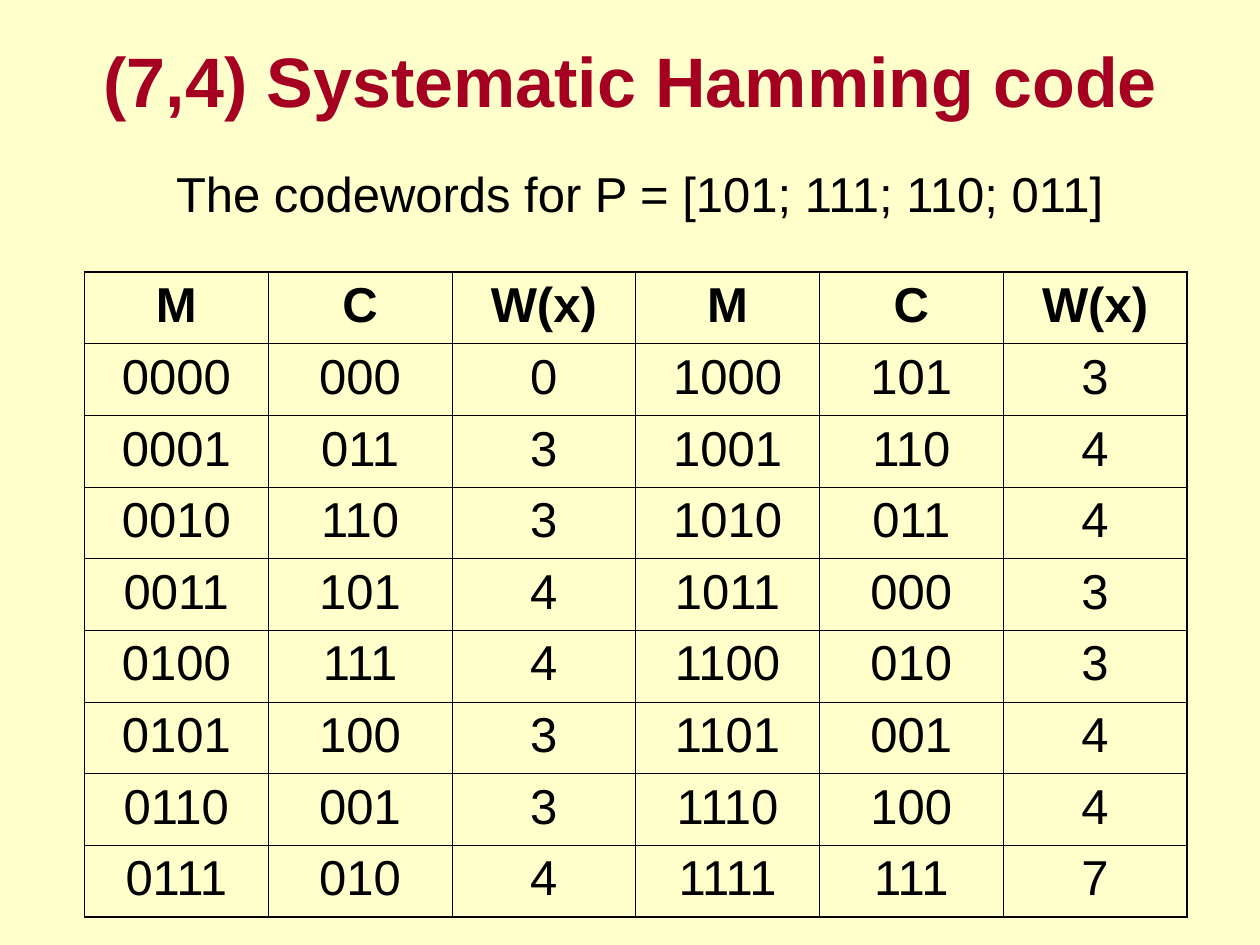
from lxml.etree import SubElement
from pptx import Presentation
from pptx.dml.color import RGBColor
from pptx.enum.text import MSO_ANCHOR, MSO_AUTO_SIZE, PP_ALIGN
from pptx.oxml.ns import qn
from pptx.util import Inches, Pt

TITLE = "(7,4) Systematic Hamming code "
SUBTITLE = "The codewords for P = [101; 111; 110; 011] "
CODEWORDS = [
    ("M", "C", "W(x)", "M", "C", "W(x)"),
    ("0000", "000", "0", "1000", "101", "3"),
    ("0001", "011", "3", "1001", "110", "4"),
    ("0010", "110", "3", "1010", "011", "4"),
    ("0011", "101", "4", "1011", "000", "3"),
    ("0100", "111", "4", "1100", "010", "3"),
    ("0101", "100", "3", "1101", "001", "4"),
    ("0110", "001", "3", "1110", "100", "4"),
    ("0111", "010", "4", "1111", "111", "7"),
]
BACKGROUND, RED, BLACK = "FFFFCC", "A50021", "000000"
OUTER, INNER = 1.08, 0.45


def rgb(value):
    """Turn a hex string into a colour."""
    return RGBColor.from_string(value)


def write(tf, text, size=28, color=BLACK, bold=False):
    """Write one centred paragraph into a text frame."""
    p = tf.paragraphs[0]
    p.alignment = PP_ALIGN.CENTER
    p.space_before = Pt(0)
    r = p.add_run()
    r.text = text
    r.font.name = "Arial"
    r.font.size = Pt(size)
    r.font.bold = bold
    r.font.color.rgb = rgb(color)
    return p


def fill_placeholder(sp, box, text, anchor, **style):
    """Move a placeholder and write its text."""
    sp.left, sp.top, sp.width, sp.height = map(Inches, box)
    tf = sp.text_frame
    tf.word_wrap = True
    tf.auto_size = MSO_AUTO_SIZE.NONE
    tf.vertical_anchor = anchor
    return write(tf, text, **style)


def set_borders(cell, **widths):
    """Draw the sides of a cell with the given widths in points."""
    tcPr = cell._tc.get_or_add_tcPr()
    for side, width in widths.items():
        ln = SubElement(tcPr, qn(f"a:ln{side}"), w=str(Pt(width)))
        fill = SubElement(ln, qn("a:solidFill"))
        SubElement(fill, qn("a:srgbClr"), val=BLACK)


def add_codeword_table(s):
    """Add the codeword grid with a heavier outer frame."""
    rows, cols = len(CODEWORDS), len(CODEWORDS[0])
    table = s.shapes.add_table(rows, cols, Inches(0.67), Inches(2.16),
                               Inches(8.75), Inches(5.12)).table
    table.horz_banding = False
    table.first_row = False
    for i, row in enumerate(CODEWORDS):
        for j, text in enumerate(row):
            cell = table.cell(i, j)
            write(cell.text_frame, text, bold=i == 0)
            set_borders(cell,
                        L=OUTER if j == 0 else INNER,
                        R=OUTER if j == cols - 1 else INNER,
                        T=OUTER if i == 0 else INNER,
                        B=OUTER if i == rows - 1 else INNER)
            cell.fill.background()


def main():
    """Build the slide and save it."""
    prs = Presentation()
    prs.slide_width, prs.slide_height = Inches(10), Inches(7.5)
    s = prs.slides.add_slide(prs.slide_layouts[1])
    s.background.fill.solid()
    s.background.fill.fore_color.rgb = rgb(BACKGROUND)
    title, body = s.placeholders
    fill_placeholder(title, (0.58, 0.17, 9, 0.92), TITLE, MSO_ANCHOR.MIDDLE,
                     size=40, color=RED, bold=True)
    p = fill_placeholder(body, (0.67, 1.25, 8.92, 0.75), SUBTITLE, MSO_ANCHOR.TOP)
    pPr = p._p.get_or_add_pPr()
    pPr.set("marL", "0")
    pPr.set("indent", "0")
    SubElement(pPr, qn("a:buNone"))
    add_codeword_table(s)
    prs.save("out.pptx")


if __name__ == "__main__":
    main()
